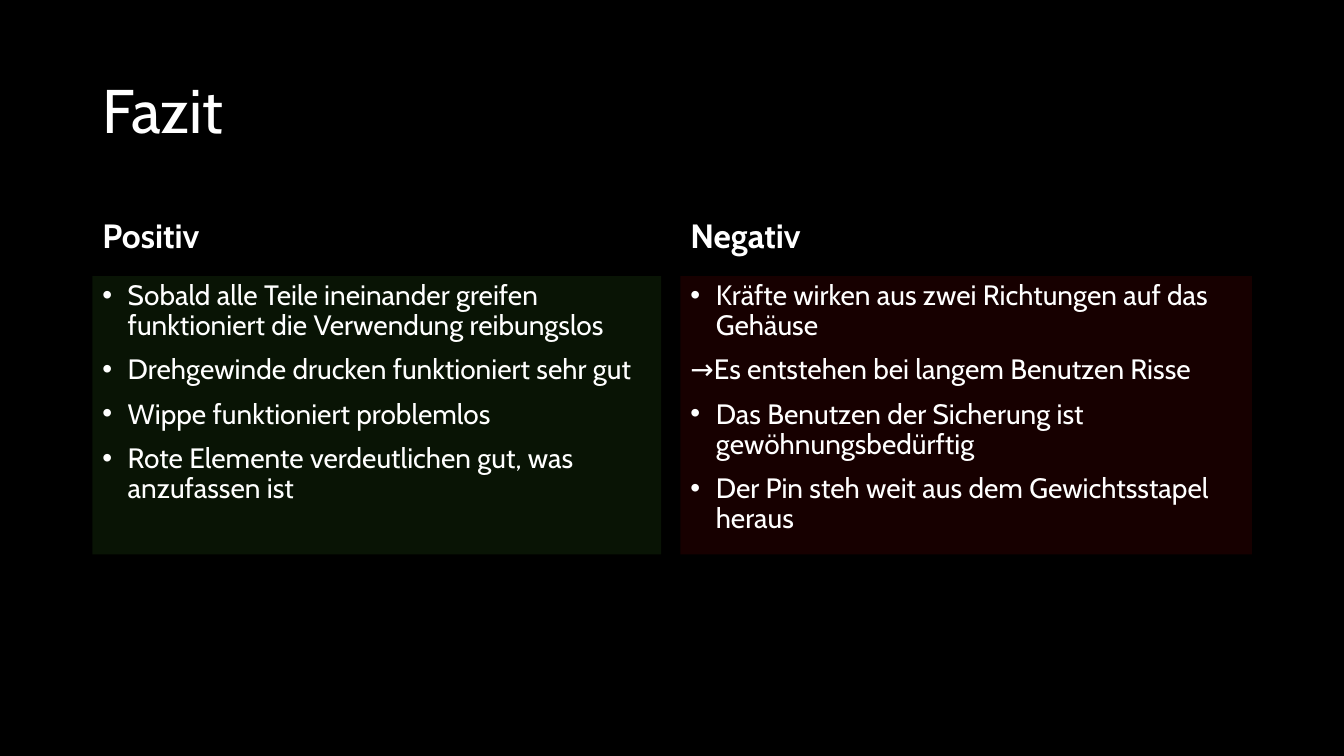
from lxml.etree import SubElement
from pptx import Presentation
from pptx.dml.color import RGBColor
from pptx.enum.text import MSO_ANCHOR as Anchor
from pptx.oxml.ns import qn
from pptx.util import Cm, Pt


def color(hex_code):
    return RGBColor.from_string(hex_code)


class Deck:
    font = "Cabin"
    ink = "FFFFFF"
    background = "000000"
    indent = Cm(0.64)

    def __init__(self):
        self.presentation = Presentation()
        self.presentation.slide_width = Cm(33.87)
        self.presentation.slide_height = Cm(19.05)
        self.slide = self.presentation.slides.add_slide(self.presentation.slide_layouts[6])
        fill = self.slide.background.fill
        fill.solid()
        fill.fore_color.rgb = color(self.background)

    def text(self, left, top, width, height, lines, size, anchor, bold=False):
        box = self.slide.shapes.add_textbox(Cm(left), Cm(top), Cm(width), Cm(height))
        frame = box.text_frame
        frame.word_wrap = True
        frame.vertical_anchor = anchor
        for index, line in enumerate(lines):
            paragraph = frame.paragraphs[0] if index == 0 else frame.add_paragraph()
            paragraph.line_spacing = 0.9
            if index:
                paragraph.space_before = Pt(10)
            run = paragraph.add_run()
            run.text = line
            run.font.name = self.font
            run.font.size = Pt(size)
            run.font.bold = bold
            run.font.color.rgb = color(self.ink)
        return box

    def bullet(self, paragraph):
        properties = paragraph._p.get_or_add_pPr()
        properties.set("marL", str(self.indent))
        properties.set("indent", str(-self.indent))
        SubElement(properties, qn("a:buFont"), typeface="Arial")
        SubElement(properties, qn("a:buChar"), char="•")

    def panel(self, left, top, width, height, points, tint, opacity):
        box = self.text(left, top, width, height, points, 20, Anchor.TOP)
        box.fill.solid()
        box.fill.fore_color.rgb = color(tint)
        tint_element = box._element.spPr.find(qn("a:solidFill"))[0]
        SubElement(tint_element, qn("a:alpha"), val=str(opacity * 1000))
        for paragraph in box.text_frame.paragraphs:
            if not paragraph.text.startswith("→"):
                self.bullet(paragraph)

    def save(self):
        self.presentation.save("out.pptx")


def main():
    deck = Deck()
    deck.text(2.33, 1.01, 29.21, 3.68, ["Fazit"], 44, Anchor.MIDDLE)
    verdicts = [
        ("Positiv", 2.33, 14.33, "4EA72E", [
            "Sobald alle Teile ineinander greifen funktioniert die Verwendung reibungslos",
            "Drehgewinde drucken funktioniert sehr gut",
            "Wippe funktioniert problemlos",
            "Rote Elemente verdeutlichen gut, was anzufassen ist",
        ]),
        ("Negativ", 17.15, 14.4, "C00000", [
            "Kräfte wirken aus zwei Richtungen auf das Gehäuse",
            "→Es entstehen bei langem Benutzen Risse",
            "Das Benutzen der Sicherung ist gewöhnungsbedürftig",
            "Der Pin steh weit aus dem Gewichtsstapel heraus",
        ]),
    ]
    for heading, left, width, tint, points in verdicts:
        deck.text(left, 4.27, width, 2.29, [heading], 24, Anchor.BOTTOM, bold=True)
        deck.panel(left, 6.96, width, 7.01, points, tint, 12)
    deck.save()


if __name__ == "__main__":
    main()
